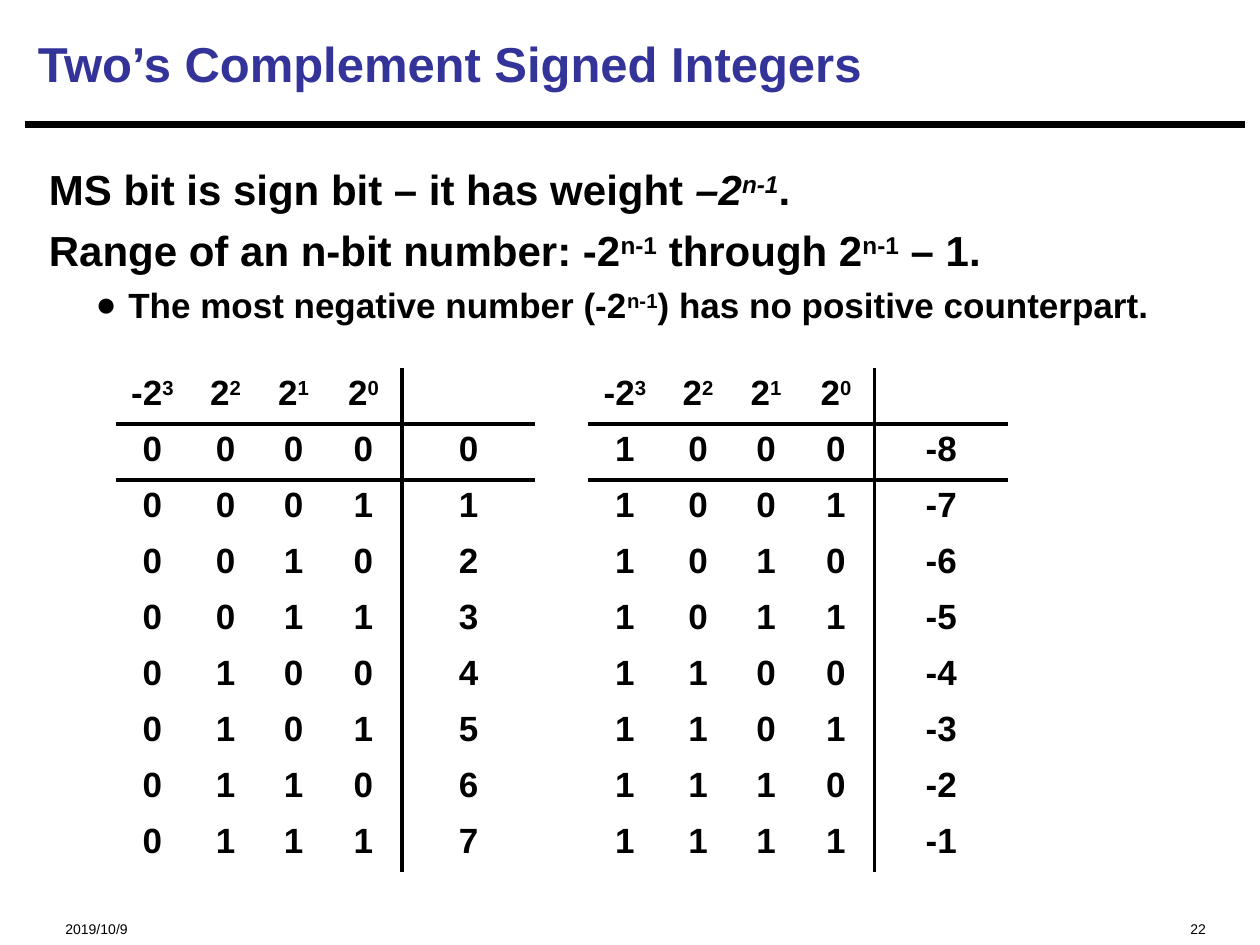
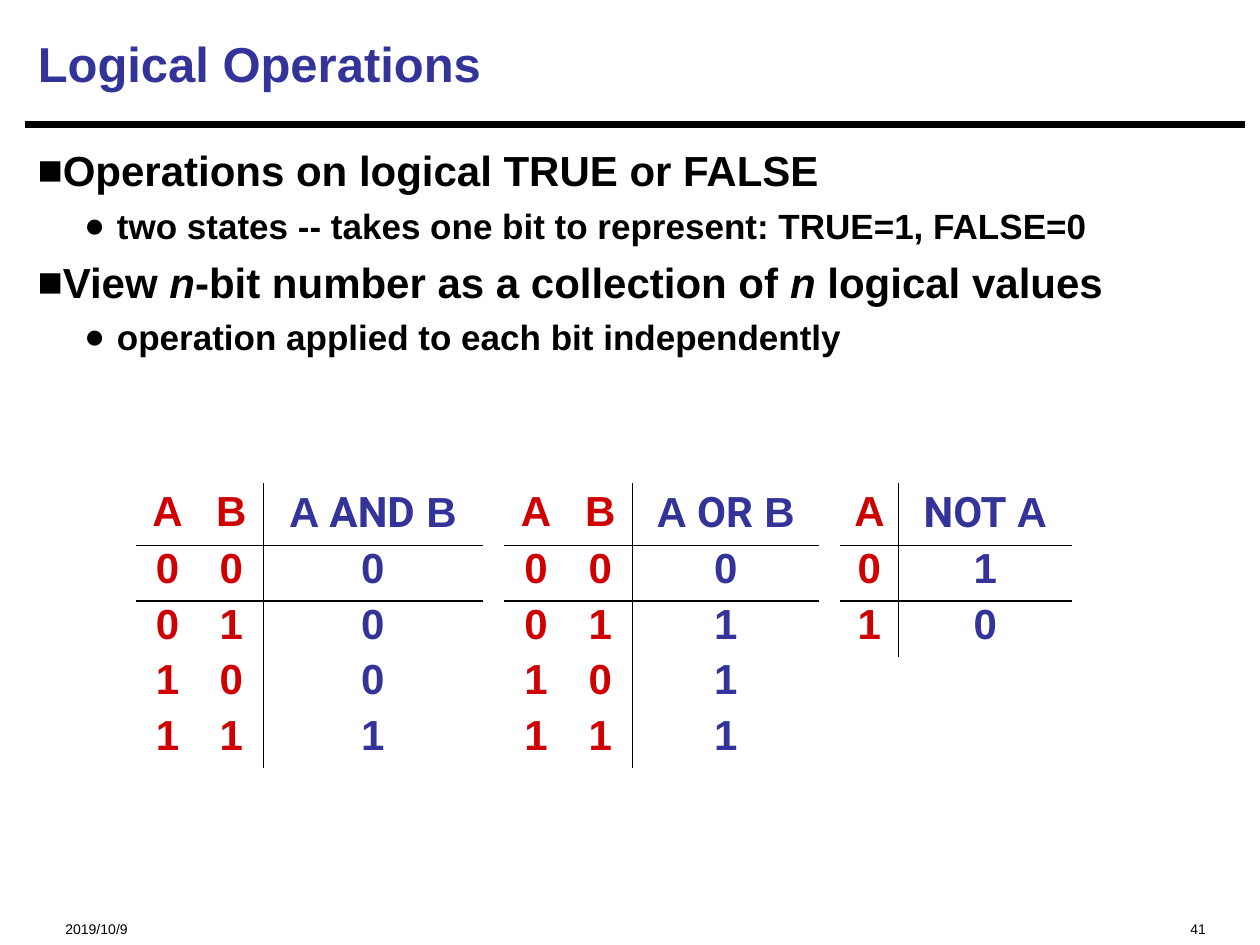
from dataclasses import dataclass
from itertools import product

from lxml import etree
from pptx import Presentation
from pptx.dml.color import RGBColor
from pptx.enum import shapes, text
from pptx.oxml import ns
from pptx.util import Inches, Pt


@dataclass(frozen=True)
class Theme:
    font: str = "Arial"
    operator_font: str = "Roboto"
    black: RGBColor = RGBColor(0, 0, 0)
    blue: RGBColor = RGBColor(0x33, 0x33, 0x99)
    red: RGBColor = RGBColor(0xCE, 0, 0)
    title: int = 28
    point: int = 24
    detail: int = 20
    footer: int = 8


T = Theme()
SUP = {"baseline": "30000"}
ITALIC = {"italic": True}
OPERATOR = {"name": T.operator_font}
NO_STYLE = "{2D5ABB26-0587-4C30-8999-92F81FD0307C}"


# Text helpers
def write(p, runs, size, color=T.black, bold=True):
    """Fill a paragraph with runs, each a string or a (string, format) pair."""
    for run in [runs] if isinstance(runs, str) else runs:
        content, extra = (run, {}) if isinstance(run, str) else run
        r = p.add_run()
        r.text = content
        r.font.color.rgb = color
        fmt = {"name": T.font, "size": Pt(size), "bold": bold, **extra}
        for key, value in fmt.items():
            if key == "baseline":
                r.font._element.set(key, value)
            else:
                setattr(r.font, key, value)


def add_bullet(p, char, left, hang):
    pPr = p._p.get_or_add_pPr()
    pPr.set("marL", str(Inches(left)))
    pPr.set("indent", str(Inches(hang)))
    etree.SubElement(pPr, ns.qn("a:buFont")).set("typeface", T.font)
    etree.SubElement(pPr, ns.qn("a:buChar")).set("char", char)


def text_box(s, box, top_margin):
    tf = s.shapes.add_textbox(*map(Inches, box)).text_frame
    tf.word_wrap = True
    tf.margin_top = Inches(top_margin)
    return tf


# Shared frame: title, rule, date and page number
def add_frame(prs, title, page):
    s = prs.slides.add_slide(prs.slide_layouts[5])
    sp = s.shapes.title
    sp.left, sp.top, sp.width, sp.height = map(Inches, (0.2, 0.08, 9.67, 0.84))
    tf = sp.text_frame
    tf.vertical_anchor = text.MSO_ANCHOR.MIDDLE
    tf.auto_size = text.MSO_AUTO_SIZE.NONE
    tf.paragraphs[0].alignment = text.PP_ALIGN.LEFT
    write(tf.paragraphs[0], title, T.title, T.blue)

    rule = s.shapes.add_connector(shapes.MSO_CONNECTOR.STRAIGHT,
                                  *map(Inches, (0.2, 0.99, 9.88, 0.99)))
    rule.line.color.rgb = T.black
    rule.line.width = Pt(3.75)
    etree.SubElement(rule._element.spPr, ns.qn("a:effectLst"))

    for content, left, width, align in (("2019/10/9", 0.42, 2.5, text.PP_ALIGN.LEFT),
                                        (page, 6.67, 3, text.PP_ALIGN.RIGHT)):
        tf = text_box(s, (left, 7.15, width, 0.27), 0.18)
        tf.margin_bottom = 0
        tf.paragraphs[0].alignment = align
        write(tf.paragraphs[0], content, T.footer, bold=False)
    return s


# Body text: (level, runs) pairs
def add_body(s, box, points, point_bullet=None):
    tf = text_box(s, box, 0.08)
    for i, (level, runs) in enumerate(points):
        p = tf.add_paragraph() if i else tf.paragraphs[0]
        if i:
            p.space_before = Pt(5 if level else 6)
        if level:
            add_bullet(p, "●", 0.63, -0.26)
        elif point_bullet:
            add_bullet(p, point_bullet, 0, 0)
        write(p, runs, T.detail if level else T.point)


# Truth tables: a line under the header and one before the result column
def add_border(cell, side, width):
    ln = etree.SubElement(cell._tc.get_or_add_tcPr(), ns.qn(f"a:ln{side}"),
                          w=str(Pt(width)))
    fill = etree.SubElement(ln, ns.qn("a:solidFill"))
    etree.SubElement(fill, ns.qn("a:srgbClr"), val=str(T.black))


def add_truth_table(s, at, cols, head_height, row_height, rows, size, line_width,
                    colors=(T.black, T.black), spacing=None):
    heights = [head_height] + [row_height] * (len(rows) - 1)
    box = (*at, sum(cols), sum(heights))
    table = s.shapes.add_table(len(rows), len(cols), *map(Inches, box)).table
    table.first_row = table.horz_banding = False
    table._tbl.tblPr.find(ns.qn("a:tableStyleId")).text = NO_STYLE
    for col, width in zip(table.columns, cols):
        col.width = Inches(width)
    for row, height in zip(table.rows, heights):
        row.height = Inches(height)

    result = len(cols) - 1
    for (i, row), j in product(enumerate(rows), range(len(cols))):
        cell = table.cell(i, j)
        sides = {"L": j == result, "R": j == result - 1, "T": i == 1, "B": i == 0}
        for side, drawn in sides.items():
            if drawn:
                add_border(cell, side, line_width)
        cell.fill.background()
        p = cell.text_frame.paragraphs[0]
        p.alignment = text.PP_ALIGN.CENTER
        if i and spacing:
            p.line_spacing = spacing
        if row[j]:
            write(p, row[j], size, colors[j == result])


def signed_integers_slide(prs):
    s = add_frame(prs, "Two’s Complement Signed Integers", "22")
    add_body(s, (0.29, 1.22, 9.24, 1.71), [
        (0, ["MS bit is sign bit – it has weight ", ("–2", ITALIC),
             ("n-1", {**ITALIC, **SUP}), "."]),
        (0, ["Range of an n-bit number: -2", ("n-1", SUP), " through 2",
             ("n-1", SUP), " – 1."]),
        (1, ["The most negative number (-2", ("n-1", SUP),
             ") has no positive counterpart."]),
    ])
    weights = [[base, (power, SUP)]
               for base, power in (("-2", "3"), ("2", "2"), ("2", "1"), ("2", "0"))]
    for left, values in ((0.92, range(8)), (4.67, range(-8, 0))):
        rows = [[*weights, ""]] + [[*f"{n & 15:04b}", str(n)] for n in values]
        add_truth_table(s, (left, 2.92), (0.58, 0.58, 0.5, 0.61, 1.06), 4 / 9, 4 / 9,
                        rows, T.detail, 2.25)


def logical_operations_slide(prs):
    s = add_frame(prs, "Logical Operations", "41")
    add_body(s, (0.2, 1.07, 9.67, 5.99), [
        (0, "Operations on logical TRUE or FALSE"),
        (1, "two states -- takes one bit to represent: TRUE=1, FALSE=0"),
        (0, ["View ", ("n", ITALIC), "-bit number as a collection of ",
             ("n", ITALIC), " logical values"]),
        (1, "operation applied to each bit independently"),
    ], "■")
    operations = (
        (1.08, (0.5, 0.51, 1.74), ["A ", ("AND", OPERATOR), " B"], lambda a, b: a & b),
        (4, (0.51, 0.51, 1.48), ["A ", ("OR", OPERATOR), " B"], lambda a, b: a | b),
        (6.67, (0.46, 1.38), [("NOT", OPERATOR), " A"], lambda a: 1 - a),
    )
    for left, cols, heading, operation in operations:
        inputs = len(cols) - 1
        rows = [[*"AB"[:inputs], heading]]
        rows += [[*map(str, bits), str(operation(*bits))]
                 for bits in product((0, 1), repeat=inputs)]
        add_truth_table(s, (left, 3.83), cols, 0.5, 0.44, rows, T.point, 1,
                        (T.red, T.blue), 0.85)


def main():
    prs = Presentation()
    prs.slide_width, prs.slide_height = Inches(10), Inches(7.5)
    signed_integers_slide(prs)
    logical_operations_slide(prs)
    prs.save("out.pptx")


if __name__ == "__main__":
    main()
